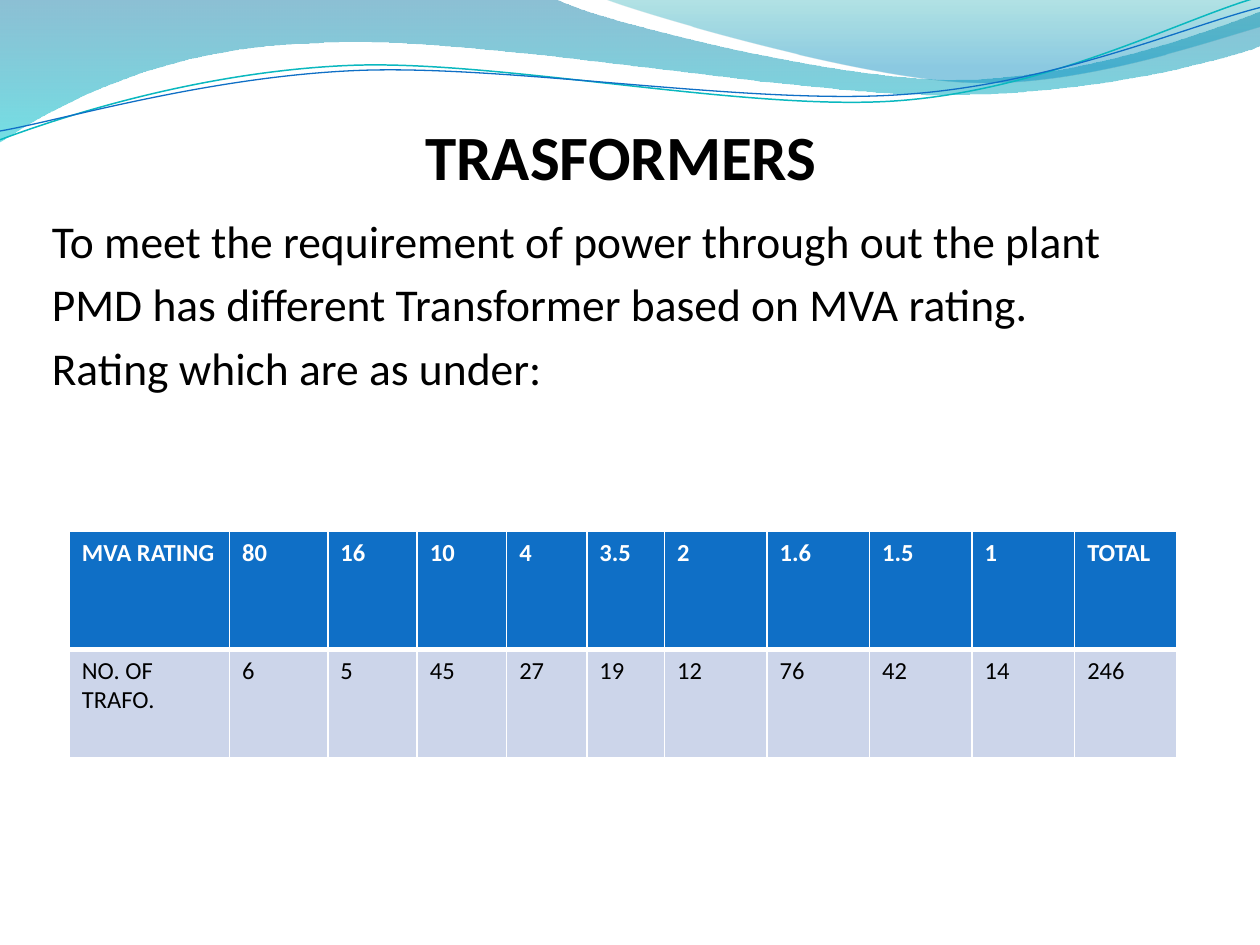
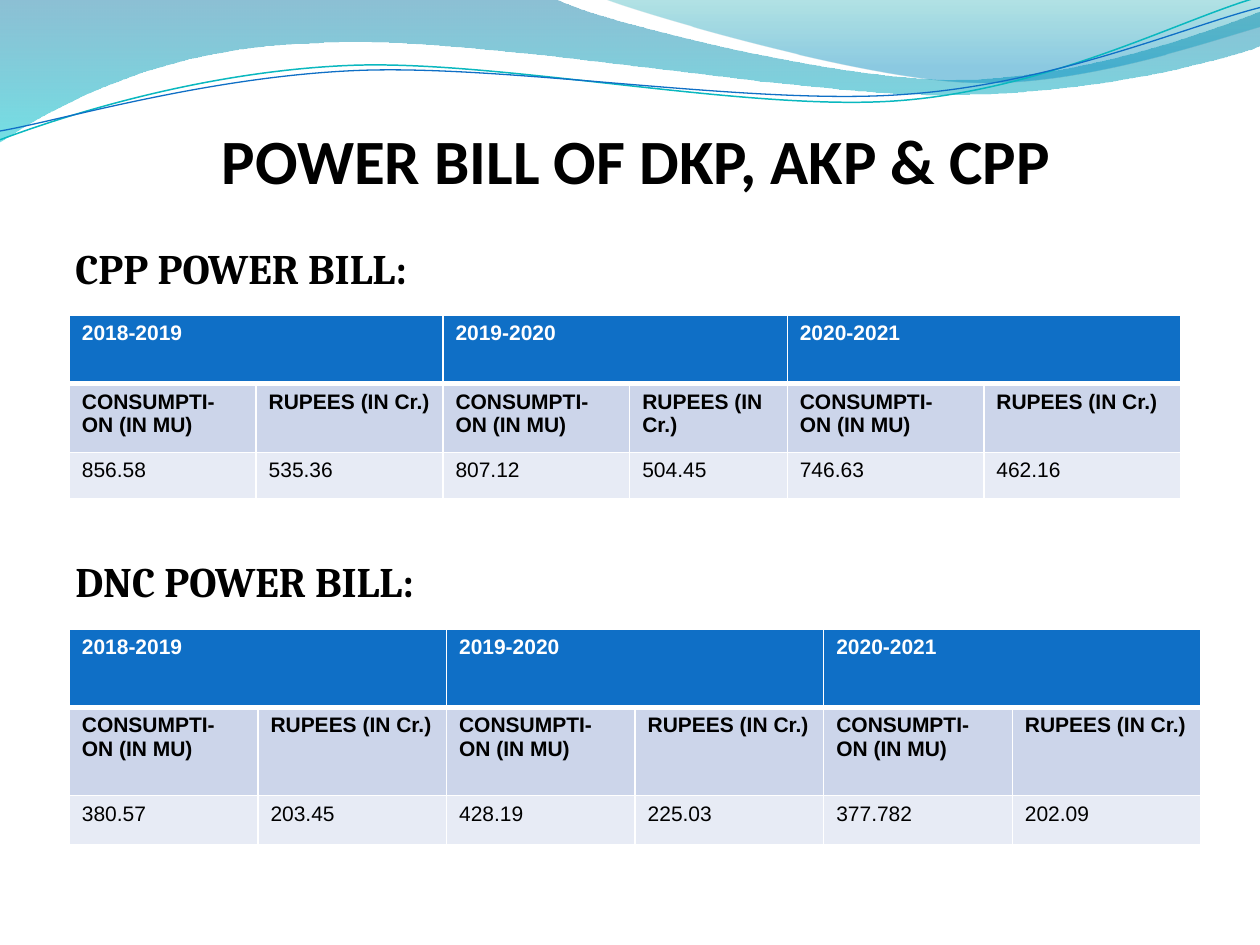
"""Build two slides on transformers and power bills under a shared wave band."""
from lxml import etree
from pptx import Presentation
from pptx import util as u
from pptx.dml.color import RGBColor
from pptx.enum import text
from pptx.oxml.ns import qn

COLORS = {
    "ink": "000000", "white": "FFFFFF", "header": "0F6FC6",
    "band": "CCD5EA", "pale": "E7EBF5", "teal_line": "0AB8BF",
    "deep": "0074A1", "aqua": "00C6CF", "green": "00A1A9", "sky": "008BBF",
}
RGB = {name: RGBColor.from_string(value) for name, value in COLORS.items()}

prs = Presentation()
prs.slide_width, prs.slide_height = u.Inches(10), u.Inches(7.5)
COL, ROW = prs.slide_width / 100, prs.slide_height / 75


def write(tf, lines, font, size, color, bold, align=text.PP_ALIGN.LEFT, gaps=()):
    """Write one paragraph per line, with optional space before each."""
    tf.word_wrap = True
    for i, line in enumerate(lines):
        p = tf.paragraphs[0] if i == 0 else tf.add_paragraph()
        p.alignment = align
        if gaps:
            p.space_before = u.Pt(gaps[i])
        r = p.add_run()
        r.text = line
        r.font.name, r.font.size, r.font.bold = font, u.Pt(size), bold
        r.font.color.rgb = RGB[color]


def add_grid(slide, left, top, widths, heights, rows, font, size, bold_rows, span):
    """Add a table whose header cells each cover span columns."""
    frame = slide.shapes.add_table(
        len(rows), len(widths), int(left * COL), int(top * ROW),
        int(sum(widths) * COL), int(sum(heights) * ROW))
    table = frame.table
    table.first_row = table.horz_banding = False
    for column, width in zip(table.columns, widths):
        column.width = int(width * COL)
    for i, (row, height) in enumerate(zip(rows, heights)):
        table.rows[i].height = int(height * ROW)
        for j, value in enumerate(row):
            cell = table.cell(i, j)
            tcPr = cell._tc.get_or_add_tcPr()
            for side in "LRTB":
                thick = (i, side) in ((0, "B"), (1, "T"))
                ln = etree.SubElement(tcPr, qn(f"a:ln{side}"), w=str(u.Pt(3 if thick else 1)))
                fill = etree.SubElement(ln, qn("a:solidFill"))
                etree.SubElement(fill, qn("a:srgbClr"), val=COLORS["white"])
            cell.fill.solid()
            cell.fill.fore_color.rgb = RGB[("header", "band", "pale")[i]]
            if value:
                write(cell.text_frame, value.split("\n"), font, size,
                      "ink" if i else "white", i in bold_rows)
    if span > 1:
        for j in range(0, len(widths), span):
            table.cell(0, j).merge(table.cell(0, j + span - 1))


WAVES = [
    {"stops": [(0, "deep", 45), (1, "aqua", 55)], "start": (0, 0), "segments": [
        [(44, -0.1)],
        [(47.6, 1.7), (66.4, 6.3), (75.8, 6.3)],
        [(85.3, 6.3), (95.8, 2.6), (100, 0.9)],
        [(100.1, 3.6)],
        [(98.3, 4.4), (87, 7.6), (74.6, 7.5)],
        [(62.2, 7.5), (38.2, 2.8), (25.7, 3.4)],
        [(12.9, 3.6), (4.6, 8.3), (-0.1, 11.3)]]},
    {"stops": [(0, "green", 30), (0.8, "sky", 45)], "start": (47.9, -0.1), "segments": [
        [(50.9, 1.1), (68.2, 6.2), (76.9, 6.5)],
        [(85.6, 6.9), (96.1, 3.2), (100, 2.1)],
        [(100, 0)]]},
    {"line": ("teal_line", 0.85), "start": (0, 11.1), "segments": [
        [(4.8, 9.3), (15.8, 5.7), (27.7, 5.2)],
        [(39.5, 4.7), (59.3, 8.9), (71.3, 8)],
        [(83.3, 7.1), (93.8, 1.5), (99.8, -0.2)]]},
    {"line": ("header", 0.75), "start": (0, 10.4), "segments": [
        [(4.7, 9.6), (16.4, 6.1), (28.3, 5.6)],
        [(40.3, 5.1), (59.7, 8.4), (71.7, 7.5)],
        [(83.6, 6.7), (94.1, 2.1), (100, 0.6)]]},
]

BILL_HEADER = ["2018-2019", "", "2019-2020", "", "2020-2021", ""]
BILL_UNITS = ["CONSUMPTI-ON (IN MU)", "RUPEES (IN Cr.)"] * 2 + [
    "CONSUMPTI-\nON (IN MU)", "RUPEES (IN Cr.)"]

SLIDES = [
    {
        "title": ("TRASFORMERS", (3.5, 2.85, 91.6, 12.5)),
        "body": (["To meet the requirement of power through out the plant",
                  "PMD has different Transformer based on MVA rating.",
                  "Rating which are as under:"],
                 (3.13, 16.4, 94.5, 55.5), "Calibri", 26, False,
                 text.PP_ALIGN.JUSTIFY, (5.2, 5.2, 5.2)),
        "tables": [
            (5.5, 42.2, [12.72, 7.8, 7.1, 7.1, 6.36, 6.17] + [8.14] * 5, [9.35, 8.6],
             [["MVA RATING", "80", "16", "10", "4", "3.5", "2", "1.6", "1.5", "1", "TOTAL"],
              ["NO. OF\nTRAFO.", "6", "5", "45", "27", "19", "12", "76", "42", "14", "246"]],
             "Calibri", 14, (0,), 1)],
    },
    {
        "title": ("POWER BILL OF DKP, AKP & CPP", (5.5, 3.15, 90, 12.5)),
        "body": (["CPP POWER BILL:", "DNC POWER BILL:"],
                 (5, 18.75, 90, 53.9), "Cambria", 24, True,
                 text.PP_ALIGN.LEFT, (4.8, 150.2)),
        "tables": [
            (5.5, 25, [14.83] * 3 + [12.5] + [15.6] * 2, [5.45, 5.45, 3.7],
             [BILL_HEADER, BILL_UNITS,
              ["856.58", "535.36", "807.12", "504.45", "746.63", "462.16"]],
             "Arial", 12, (0, 1), 2),
            (5.5, 49.9, [14.97] * 6, [6.25, 7, 3.9],
             [BILL_HEADER, BILL_UNITS,
              ["380.57", "203.45", "428.19", "225.03", "377.782", "202.09"]],
             "Arial", 12, (0, 1), 2)],
    },
]

for content in SLIDES:
    slide = prs.slides.add_slide(prs.slide_layouts[6])

    for wave in WAVES:
        segments = [[(int(x * COL), int(y * ROW)) for x, y in segment]
                    for segment in wave["segments"]]
        x, y = wave["start"]
        builder = slide.shapes.build_freeform(int(x * COL), int(y * ROW))
        builder.add_line_segments([segment[-1] for segment in segments], close="stops" in wave)
        sp = builder.convert_to_shape()
        sp.shadow.inherit = False
        edges = list(sp._element.spPr.iter(qn("a:lnTo")))
        for edge, segment in zip(edges, segments):
            if len(segment) == 3:
                edge.tag = qn("a:cubicBezTo")
                for i, (x, y) in enumerate(segment[:2]):
                    handle = etree.Element(qn("a:pt"), x=str(x - sp.left), y=str(y - sp.top))
                    edge.insert(i, handle)
        if "stops" in wave:
            sp.line.fill.background()
            sp.fill.gradient()
            sp.fill.gradient_angle = 270
            for stop, (position, color, _) in zip(sp.fill.gradient_stops, wave["stops"]):
                stop.position, stop.color.rgb = position, RGB[color]
            tints = sp._element.spPr.iter(qn("a:srgbClr"))
            for tint, (_, _, opacity) in zip(tints, wave["stops"]):
                etree.SubElement(tint, qn("a:alpha"), val=str(opacity * 1000))
        else:
            color, width = wave["line"]
            sp.fill.background()
            sp.line.color.rgb, sp.line.width = RGB[color], u.Pt(width)

    title, (x, y, w, h) = content["title"]
    tf = slide.shapes.add_textbox(int(x * COL), int(y * ROW), int(w * COL), int(h * ROW)).text_frame
    tf.margin_left = tf.margin_right = tf.margin_bottom = 0
    tf.vertical_anchor = text.MSO_ANCHOR.BOTTOM
    write(tf, [title], "Calibri", 36, "ink", True, text.PP_ALIGN.CENTER)

    lines, (x, y, w, h), font, size, bold, align, gaps = content["body"]
    tf = slide.shapes.add_textbox(int(x * COL), int(y * ROW), int(w * COL), int(h * ROW)).text_frame
    write(tf, lines, font, size, "ink", bold, align, gaps)

    for table in content["tables"]:
        add_grid(slide, *table)

prs.save("out.pptx")
